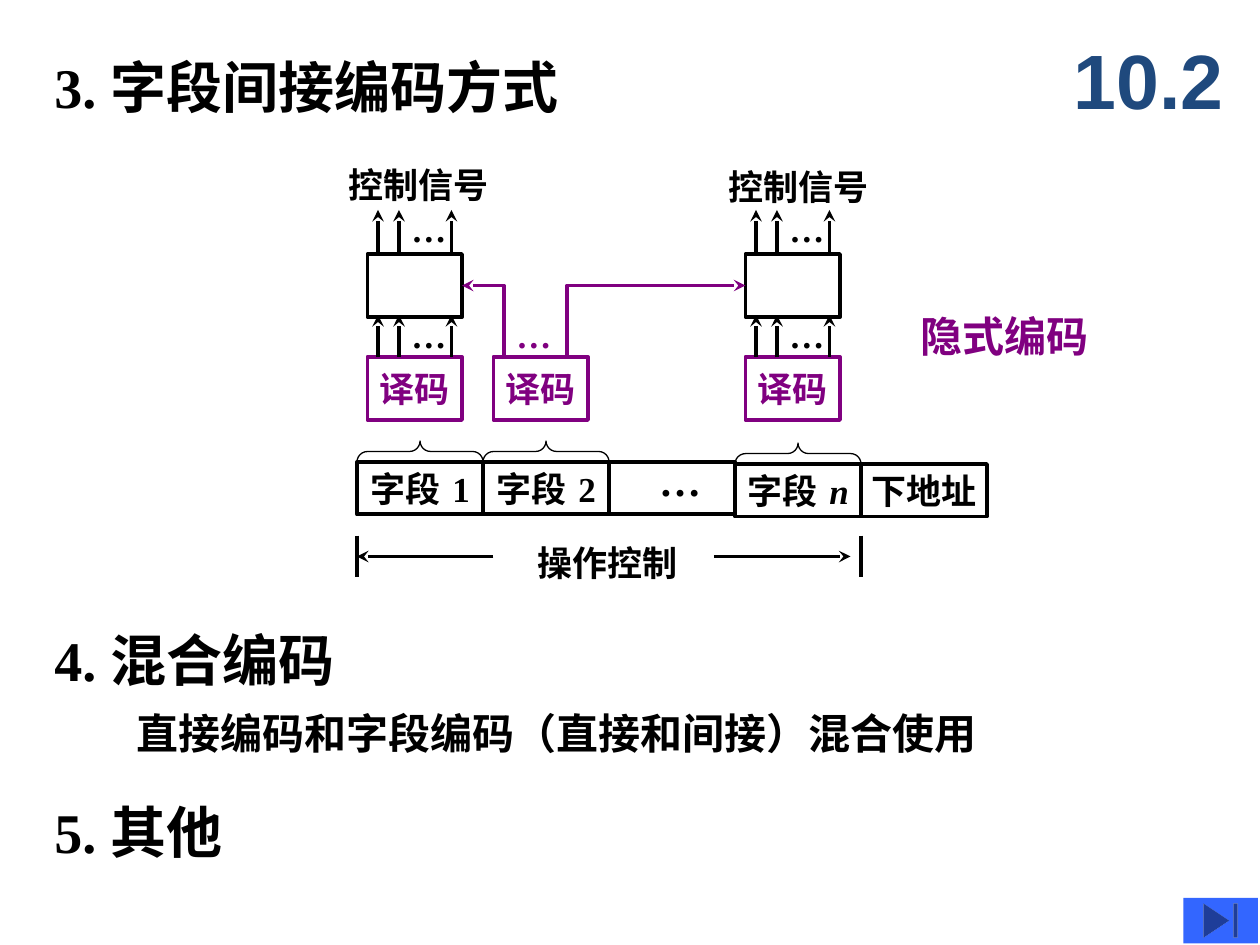
import lxml.etree
import pptx
import pptx.dml.color
import pptx.enum.shapes
import pptx.enum.text
import pptx.oxml.ns
import pptx.util

SHAPE = pptx.enum.shapes.MSO_SHAPE
STRAIGHT = pptx.enum.shapes.MSO_CONNECTOR.STRAIGHT
ANCHOR = pptx.enum.text.MSO_ANCHOR
ALIGN = pptx.enum.text.PP_ALIGN
FIT = pptx.enum.text.MSO_AUTO_SIZE
qn = pptx.oxml.ns.qn
COLORS = {"ink": "000000", "purple": "800080", "navy": "1F497D", "button": "3366FF"}
SERIF, SANS = "Times New Roman", "DejaVu Sans"

prs = pptx.Presentation()
prs.slide_width = pptx.util.Inches(10)
prs.slide_height = pptx.util.Inches(7.5)
s = prs.slides.add_slide(prs.slide_layouts[6])
U = prs.slide_width / 120  # the grid has 120 columns and 90 rows


def write(sp, runs, size=20, color="ink", font=SERIF, fmt=None):
    """Fill sp with runs given as (text, font overrides)."""
    tf = sp.text_frame
    for name, value in (fmt or {}).items():
        setattr(tf, name, value)
    p = tf.paragraphs[0]
    for text, overrides in runs:
        r = p.add_run()
        r.text = text
        values = {"name": font, "size": pptx.util.Pt(size), "bold": True}
        for name, value in {**values, **overrides}.items():
            setattr(r.font, name, value)
        r.font.color.rgb = pptx.dml.color.RGBColor.from_string(COLORS[color])
        lxml.etree.SubElement(r.font._element, qn("a:ea")).set("typeface", SANS)
    return p


def outline(sp, color="ink", width=2.25, arrow=False):
    """Set the line of a shape or connector and take its shadow off."""
    sp.line.color.rgb = pptx.dml.color.RGBColor.from_string(COLORS[color])
    sp.line.width = pptx.util.Pt(width)
    props = sp._element.spPr
    if arrow:
        tail = lxml.etree.SubElement(props.get_or_add_ln(), qn("a:tailEnd"))
        tail.set("type", "stealth")
    lxml.etree.SubElement(props, qn("a:effectLst"))


# Numbered headings
for number, title, row, columns in (
    ("3. ", "字段间接编码方式", 4.4, 103),
    ("4. ", "混合编码", 59, 88),
    ("5. ", "其他", 75.4, 73),
):
    sp = s.shapes.add_textbox(*(int(v * U) for v in (4, row, columns, 7.7)))
    runs = [(number, {}), (title, {"name": SANS})]
    write(sp, runs, 32, fmt={"word_wrap": True, "auto_size": FIT.SHAPE_TO_FIT_TEXT})

# Boxes of the diagram: column, row, columns, rows, colour, runs
boxes = [
    (34, 44, 12, 5, "ink", [("字段 1", {})]),
    (46, 44, 12, 5, "ink", [("字段 2", {})]),
    (58, 44, 12, 5, "ink", []),
    (70, 44.2, 12, 5, "ink", [("字段 ", {}), ("n", {"italic": True})]),
    (82, 44.2, 12, 5, "ink", [("下地址", {})]),
]
boxes += [(col, 34, 9, 6, "purple", [("译码", {})]) for col in (35, 47, 71)]
boxes += [(col, 24.2, 9, 6, "ink", []) for col in (35, 71)]
for *place, color, runs in boxes:
    sp = s.shapes.add_shape(SHAPE.RECTANGLE, *(int(v * U) for v in place))
    sp.fill.background()
    outline(sp, color)
    fmt = {"word_wrap": False, "vertical_anchor": ANCHOR.MIDDLE}
    write(sp, runs, color=color, fmt=fmt).alignment = ALIGN.CENTER

# Braces over the fields: an upright brace turned about its centre
for col, row in ((34, 44), (46, 44), (70, 44.2)):
    place = (col + 5, row - 7, 2, 12)
    sp = s.shapes.add_shape(SHAPE.LEFT_BRACE, *(int(v * U) for v in place))
    sp.rotation = 90
    sp.adjustments[0] = 0.5
    sp.fill.background()
    outline(sp, width=0.75)

# Straight lines: start, end, arrowhead
lines = [(col, 51, col, 55, False) for col in (34, 82)]
lines += [(47, 53, 34, 53, True), (68, 53, 81, 53, True)]
for left in (36, 72):
    for bottom in (24, 34):
        lines += [(left + d, bottom, left + d, bottom - 4, True) for d in (0, 2, 7)]
for *ends, arrow in lines:
    outline(s.shapes.add_connector(STRAIGHT, *(int(v * U) for v in ends)), arrow=arrow)

# Elbow arrows from the second decoder to the upper boxes
for start, end in ((48, 44), (54, 71)):
    elbow = s.shapes.build_freeform(int(start * U), int(34.2 * U))
    corners = [(int(start * U), int(27.2 * U)), (int(end * U), int(27.2 * U))]
    elbow.add_line_segments(corners, close=False)
    sp = elbow.convert_to_shape()
    sp.fill.background()
    outline(sp, "purple", arrow=True)

# Labels: text, column, row, columns, rows, size, colour
labels = [
    ("控制信号", 32, 15, 16, 5.25, 20, "ink"),
    ("控制信号", 68.2, 15.2, 16, 5.25, 20, "ink"),
    ("操作控制", 50, 51, 16, 5.25, 20, "ink"),
    ("…", 61.6, 42.7, 6.4, 6, 24, "ink"),
    ("…", 48, 29.3, 5.8, 5.25, 20, "purple"),
    ("隐式编码", 86.5, 29, 28.3, 6, 24, "purple"),
    ("直接编码和字段编码（直接和间接）混合使用", 11.8, 66.8, 100.2, 6, 24, "ink"),
]
labels += [("…", col, row, 5.8, 5.25, 20, "ink") for col in (38, 74) for row in (19.2, 29.3)]
for text, *place, size, color in labels:
    sp = s.shapes.add_textbox(*(int(v * U) for v in place))
    fmt = {"word_wrap": place[2] > 20, "auto_size": FIT.SHAPE_TO_FIT_TEXT}
    write(sp, [(text, {})], size, color, fmt=fmt)

# Section number and the button in the corner
sp = s.shapes.add_textbox(*(int(v * U) for v in (101.1, 2, 18.9, 11)))
fmt = {"word_wrap": True, "vertical_anchor": ANCHOR.MIDDLE}
write(sp, [("10.2", {})], 44, "navy", "Arial", fmt)

place = (112.7, 85.5, 7.1, 4.35)
sp = s.shapes.add_shape(SHAPE.ACTION_BUTTON_END, *(int(v * U) for v in place))
sp.fill.solid()
sp.fill.fore_color.rgb = pptx.dml.color.RGBColor.from_string(COLORS["button"])
sp.line.fill.background()
sp.shadow.inherit = False

prs.save("out.pptx")
